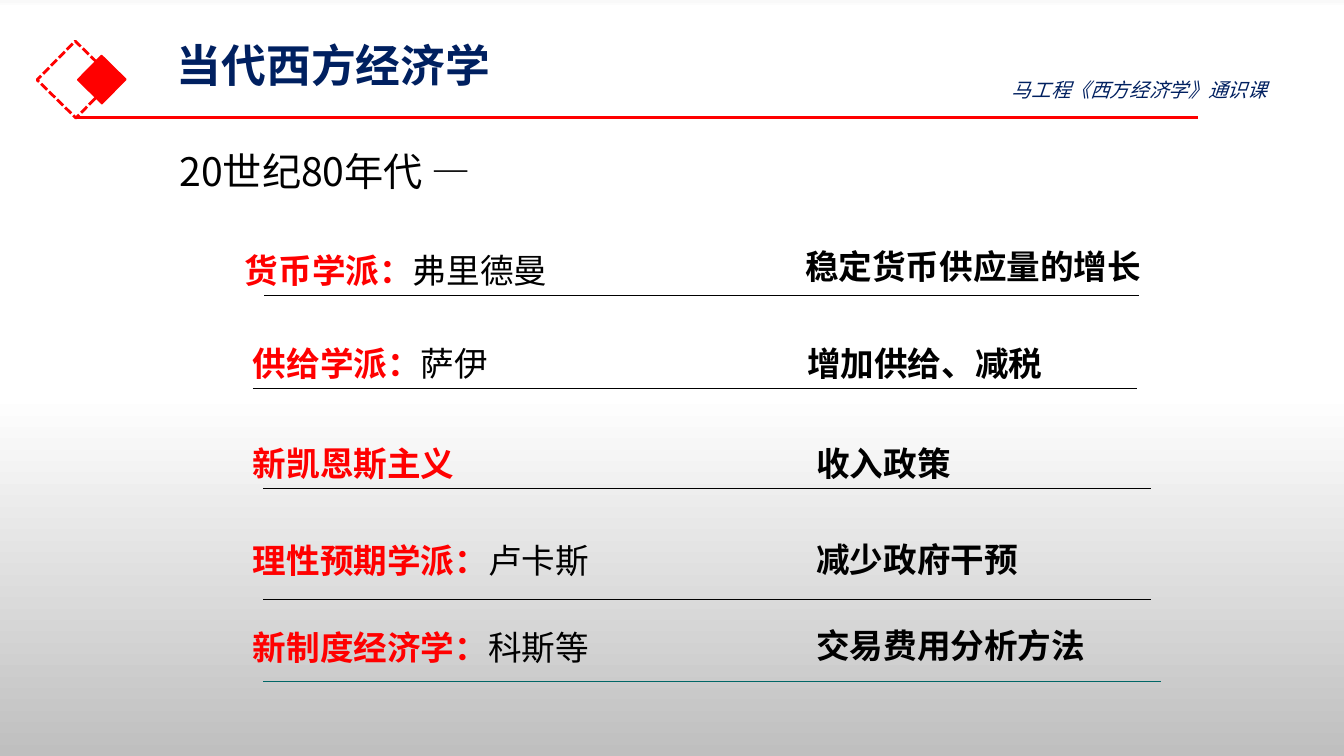
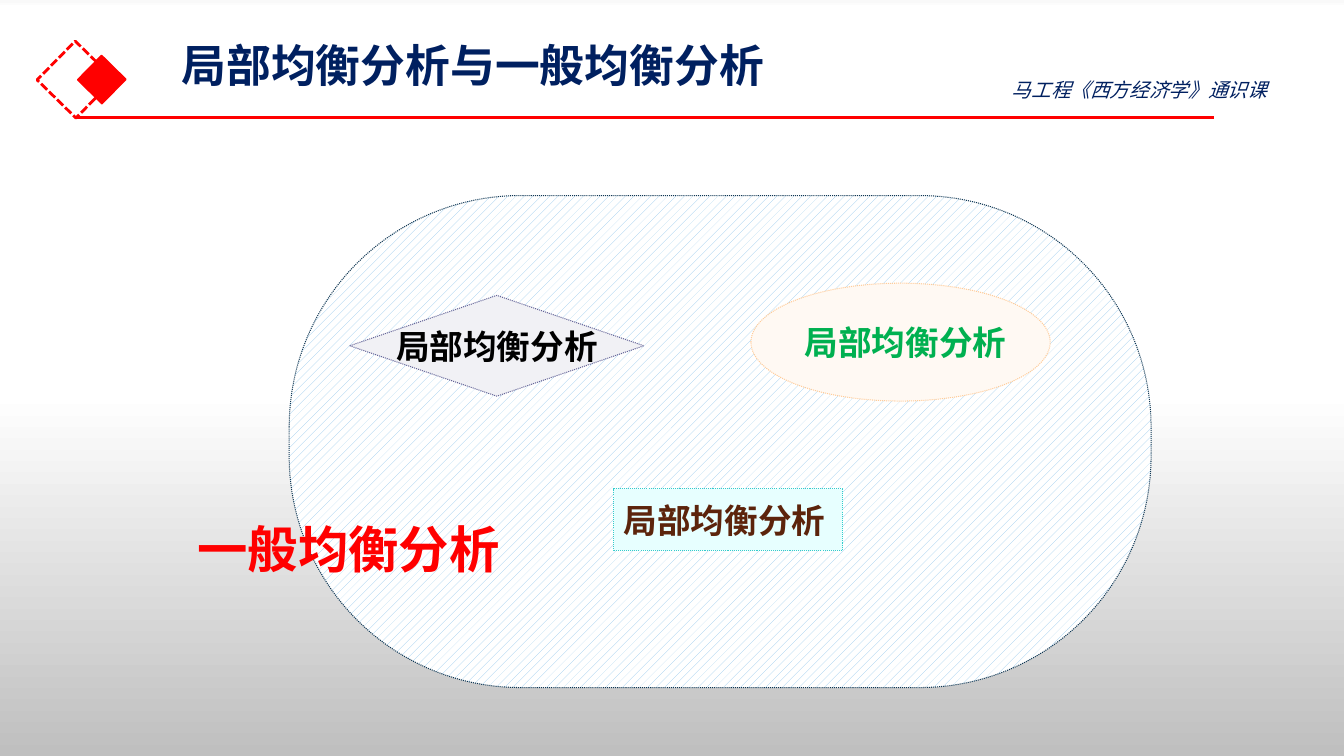
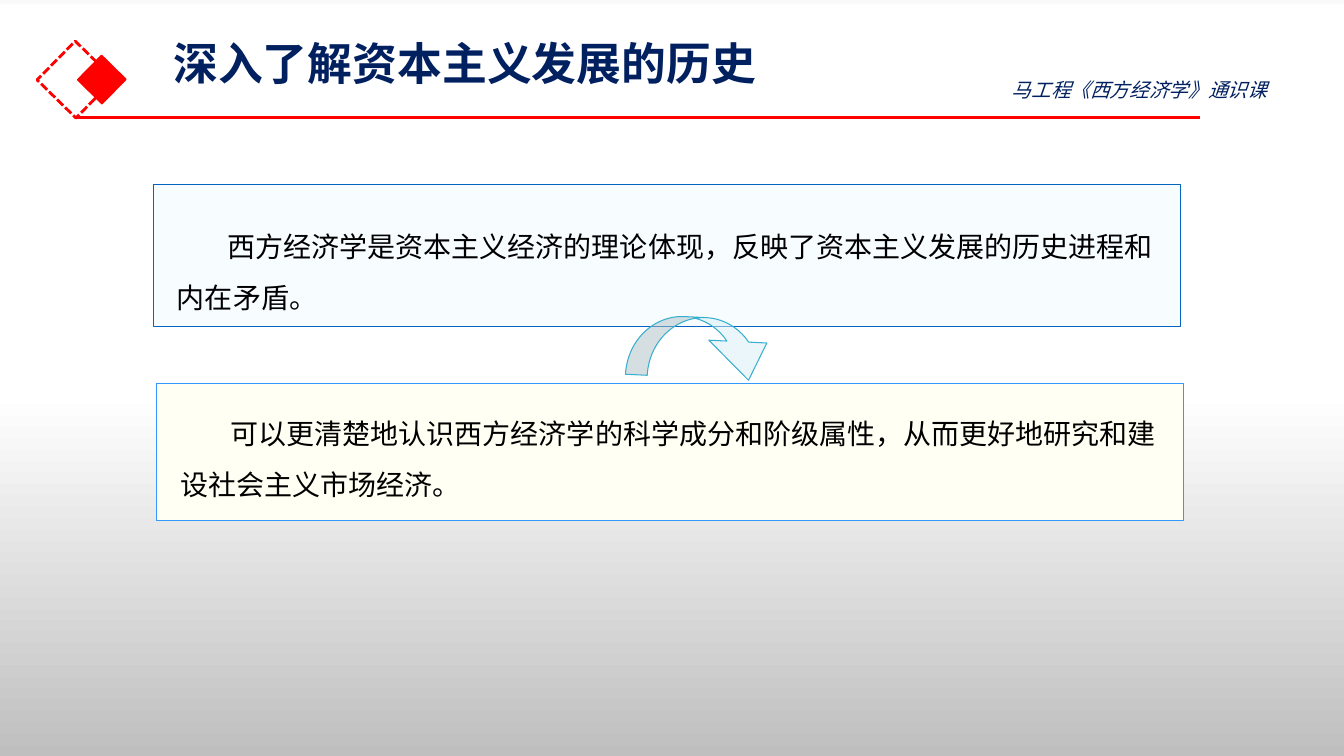
import dataclasses

import lxml.etree
import pptx
import pptx.dml.color
import pptx.enum.dml
import pptx.enum.shapes
import pptx.enum.text
import pptx.oxml.ns
import pptx.util

Pt = pptx.util.Pt
RGB = pptx.dml.color.RGBColor.from_string
qn = pptx.oxml.ns.qn
SHAPE = pptx.enum.shapes.MSO_SHAPE
DASH = pptx.enum.dml.MSO_LINE
ANCHOR = pptx.enum.text.MSO_ANCHOR
ALIGN = pptx.enum.text.PP_ALIGN


@dataclasses.dataclass(frozen=True)
class Theme:
    font: str = "Noto Sans CJK SC"
    navy: str = "002060"
    red: str = "FF0000"
    black: str = "000000"
    green: str = "00B050"
    brown: str = "5C240C"
    teal: str = "006666"
    backdrop: tuple = ((0, "F9F9F9"), (1, "FFFFFF"), (52, "FFFFFF"), (100, "BFBFBF"))
    title_size: float = 32
    period_size: float = 28
    row_size: float = 24
    general_size: float = 36
    panel_size: float = 20
    course_size: float = 14


theme = Theme()


def write(frame, runs, size, paragraph_format=None, **frame_format):
    """Fill a text frame with one paragraph of (text, colour, bold, italic) runs."""
    frame_values = {
        "word_wrap": True,
        "auto_size": pptx.enum.text.MSO_AUTO_SIZE.NONE,
        "vertical_anchor": ANCHOR.MIDDLE,
        **frame_format,
    }
    for name, value in frame_values.items():
        setattr(frame, name, value)
    paragraph = frame.paragraphs[0]
    paragraph_values = {"alignment": ALIGN.LEFT, "space_before": Pt(0), **(paragraph_format or {})}
    for name, value in paragraph_values.items():
        setattr(paragraph, name, value)
    for text, colour, bold, italic in runs:
        run = paragraph.add_run()
        run.text = text
        font_values = {"name": theme.font, "size": Pt(size), "bold": bold, "italic": italic}
        for name, value in font_values.items():
            setattr(run.font, name, value)
        run.font.color.rgb = RGB(colour)
        east_asian = lxml.etree.SubElement(run._r.get_or_add_rPr(), qn("a:ea"))
        east_asian.set("typeface", theme.font)
    return paragraph


def draw_rule(slide, left, right, y, colour, width):
    rule = slide.shapes.add_connector(
        pptx.enum.shapes.MSO_CONNECTOR.STRAIGHT, Pt(left), Pt(y), Pt(right), Pt(y)
    )
    rule.line.color.rgb = RGB(colour)
    rule.line.width = Pt(width)
    lxml.etree.SubElement(rule.element.spPr, qn("a:effectLst"))


deck = pptx.Presentation()
deck.slide_width, deck.slide_height = Pt(960), Pt(540)

# Shared background
master = deck.slide_master
backdrop = master.background.fill
backdrop.gradient()
backdrop.gradient_angle = 270
stops = master.element.find(".//" + qn("p:bg")).find(".//" + qn("a:gsLst"))
for stop in list(stops):
    stops.remove(stop)
for percent, colour in theme.backdrop:
    stop = lxml.etree.SubElement(stops, qn("a:gs"), pos=str(percent * 1000))
    lxml.etree.SubElement(stop, qn("a:srgbClr"), val=colour)

# Slides with titles: layout, title, left, top, end of the red rule
headings = [
    ("Title and Content", "当代西方经济学", 119, 28, 856),
    ("Title Only", "局部均衡分析与一般均衡分析", 122.4, 28, 867),
    ("Two Content", "深入了解资本主义发展的历史", 116.6, 26.5, 857),
]
slides = []
for layout_name, heading, left, top, rule_end in headings:
    slide = deck.slides.add_slide(deck.slide_layouts.get_by_name(layout_name))
    title = slide.shapes.title
    title.left, title.top, title.width, title.height = Pt(left), Pt(top), Pt(590), Pt(36)
    write(title.text_frame, [(heading, theme.navy, True, False)], theme.title_size)
    draw_rule(slide, 54, rule_end, 84.2, theme.red, 2.25)
    slides.append(slide)
schools_slide, equilibrium_slide, history_slide = slides

# Emblem and course name, moved to the master
emblem = []
for left, top, side, width, filled in [(34.6, 37.4, 38.9, 2, False), (60.5, 44.6, 24.5, 1, True)]:
    square = schools_slide.shapes.add_shape(SHAPE.RECTANGLE, Pt(left), Pt(top), Pt(side), Pt(side))
    square.rotation = 314.5
    square.shadow.inherit = False
    square.line.color.rgb = RGB(theme.red)
    square.line.width = Pt(width)
    if filled:
        square.fill.solid()
        square.fill.fore_color.rgb = RGB(theme.red)
    else:
        square.fill.background()
        square.line.dash_style = DASH.SQUARE_DOT
    emblem.append(square)
course = schools_slide.shapes.add_textbox(Pt(715.7), Pt(52), Pt(233.3), Pt(24.5))
write(course.text_frame, [("马工程《西方经济学》通识课", theme.navy, False, True)], theme.course_size)
for number, part in enumerate([*emblem, course], start=101):
    part.element.find(".//" + qn("p:cNvPr")).set("id", str(number))
    master.shapes.element.append(part.element)

# Schools of thought
period = schools_slide.placeholders[1]
period.left, period.top, period.width, period.height = Pt(121), Pt(103.7), Pt(284.4), Pt(36)
period_line = write(
    period.text_frame, [("20世纪80年代 —", theme.black, False, False)], theme.period_size
)

# School, thinker, policy, their left edges and middles, rule
schools = [
    ("货币学派：", "弗里德曼", "稳定货币供应量的增长", 167.8, 193, 568, 190, (188.6, 813.6, 211)),
    ("供给学派：", "萨伊", "增加供给、减税", 173.5, 259, 569.5, 259, (180.7, 812, 277)),
    ("新凯恩斯主义", "", "收入政策", 173.5, 331, 576, 331, (188, 822, 349)),
    ("理性预期学派：", "卢卡斯", "减少政府干预", 173.5, 400, 576, 399.5, (188, 822, 427.7)),
    ("新制度经济学：", "科斯等", "交易费用分析方法", 173.5, 462, 576, 461, (188, 829.5, 486.7)),
]
for school, thinker, policy, school_left, school_mid, policy_left, policy_mid, rule in schools:
    school_runs = [(school, theme.red, True, False)]
    if thinker:
        school_runs.append((thinker, theme.black, False, False))
    policy_runs = [(policy, theme.black, True, False)]
    for runs, left, middle, width in [
        (school_runs, school_left, school_mid, 320),
        (policy_runs, policy_left, policy_mid, 288),
    ]:
        cell = schools_slide.shapes.add_textbox(Pt(left), Pt(middle - 18), Pt(width), Pt(36))
        write(cell.text_frame, runs, theme.row_size)
    draw_rule(schools_slide, *rule, theme.teal if school == schools[-1][0] else theme.black, 0.25)

# Partial equilibria inside the general one
regions = [
    (SHAPE.ROUNDED_RECTANGLE, (206.6, 139.7, 615.6, 351.4), None, "0F3754", None, None),
    (SHAPE.RECTANGLE, (438.5, 349.2, 163.4, 43.9), "E7FFFF", "33CCCC", theme.brown, ALIGN.LEFT),
    (SHAPE.OVAL, (536.4, 202.3, 213.8, 84.2), "FFF9F3", "FFCC99", theme.green, ALIGN.LEFT),
    (SHAPE.DIAMOND, (249.8, 211, 210.2, 72), "F1F1F5", "666699", theme.black, ALIGN.CENTER),
]
for preset, box, fill, outline, ink, alignment in regions:
    region = equilibrium_slide.shapes.add_shape(preset, *map(Pt, box))
    region.shadow.inherit = False
    region.line.color.rgb = RGB(outline)
    region.line.width = Pt(0.75)
    region.line.dash_style = DASH.ROUND_DOT
    if fill:
        region.fill.solid()
        region.fill.fore_color.rgb = RGB(fill)
        write(
            region.text_frame,
            [("局部均衡分析", ink, True, False)],
            theme.row_size,
            {"alignment": alignment},
            word_wrap=False,
        )
    else:
        region.adjustments[0] = 0.47
        region.fill.patterned()
        region.fill.pattern = pptx.enum.dml.MSO_PATTERN.PERCENT_20
        region.fill.fore_color.rgb = RGB("94C8ED")
        region.fill.back_color.rgb = RGB("FFFFFF")
general = equilibrium_slide.shapes.add_textbox(Pt(133.9), Pt(365), Pt(232), Pt(54))
write(general.text_frame, [("一般均衡分析", theme.red, True, False)], theme.general_size)

# History of capitalism
panels = [
    (1, (109.4, 131.8, 733.7, 101.5), 19.5, "F7FCFF", "0563C1",
     "西方经济学是资本主义经济的理论体现，反映了资本主义发展的历史进程和内在矛盾。"),
    (2, (111.6, 273.6, 733.7, 98), 11.3, "FFFFF3", "3399FF",
     "可以更清楚地认识西方经济学的科学成分和阶级属性，从而更好地研究和建设社会主义市场经济。"),
]
unbulleted = [(period_line, 0)]
for index, box, inset_top, fill, outline, statement in panels:
    panel = history_slide.placeholders[index]
    panel.left, panel.top, panel.width, panel.height = map(Pt, box)
    panel.fill.solid()
    panel.fill.fore_color.rgb = RGB(fill)
    panel.line.color.rgb = RGB(outline)
    panel.line.width = Pt(0.75)
    paragraph = write(
        panel.text_frame,
        [(statement, theme.black, False, False)],
        theme.panel_size,
        {"line_spacing": Pt(36.4)},
        vertical_anchor=ANCHOR.TOP,
        margin_left=Pt(17),
        margin_right=Pt(10),
        margin_top=Pt(inset_top),
        margin_bottom=Pt(0),
    )
    unbulleted.append((paragraph, 36))
for paragraph, indent in unbulleted:
    properties = paragraph._p.get_or_add_pPr()
    properties.set("marL", "0")
    properties.set("indent", str(Pt(indent)))
    lxml.etree.SubElement(properties, qn("a:buNone"))

turn = history_slide.shapes.add_shape(
    SHAPE.CURVED_UP_ARROW, Pt(447.8), Pt(226.8), Pt(108.7), Pt(43.2)
)
turn.rotation = 182.8
turn.element.spPr.find(qn("a:xfrm")).set("flipH", "1")
for index, value in enumerate([0.36, 0.96, 0.63]):
    turn.adjustments[index] = value
turn.shadow.inherit = False
turn.fill.solid()
turn.fill.fore_color.rgb = RGB("D7EFF5")
tint = turn.element.spPr.find(qn("a:solidFill")).find(qn("a:srgbClr"))
lxml.etree.SubElement(tint, qn("a:alpha"), val="50000")
turn.line.color.rgb = RGB("36AFCE")
turn.line.width = Pt(0.75)

deck.save("out.pptx")
